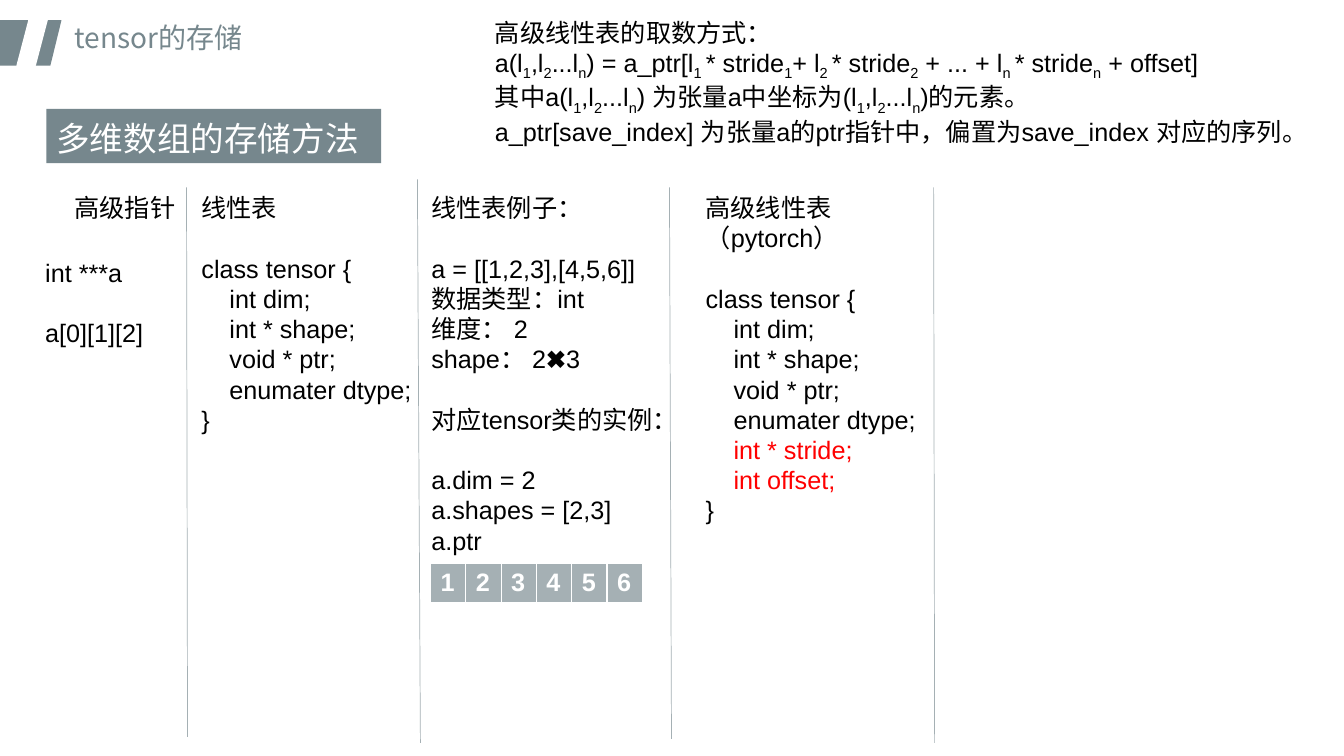
from dataclasses import dataclass

from lxml.etree import SubElement as Sub
from pptx import Presentation
from pptx.dml.color import RGBColor as RGB
from pptx.enum.shapes import MSO_CONNECTOR as Conn, MSO_SHAPE as Kind
from pptx.enum.text import MSO_ANCHOR as Anchor, MSO_AUTO_SIZE as Auto, PP_ALIGN as Align
from pptx.oxml.ns import qn
from pptx.util import Inches, Pt


@dataclass(frozen=True)
class Theme:
    slate: RGB = RGB(0x76, 0x87, 0x8D)
    pale: RGB = RGB(0xA5, 0xB0, 0xB4)
    white: RGB = RGB(255, 255, 255)
    black: RGB = RGB(0, 0, 0)
    red: RGB = RGB(255, 0, 0)
    latin: str = "Arial"
    hans: str = "Noto Sans CJK JP"
    title: float = 20
    banner: float = 24
    body: float = 18
    gap: float = 21.6


@dataclass(frozen=True)
class Label:
    left: float
    top: float
    width: float
    height: float
    text: str
    size: float
    color: RGB
    fill: RGB | None = None


@dataclass(frozen=True)
class Block:
    left: float
    top: float
    width: float
    height: float
    text: str
    red: tuple[str, ...] = ()


@dataclass(frozen=True)
class Rule:
    x1: float
    y1: float
    x2: float
    y2: float


THEME = Theme()

LABELS = [
    Label(0.64, 0.12, 2.11, 0.47, "tensor的存储", THEME.title, THEME.slate),
    Label(0.46, 1.08, 3.32, 0.54, "多维数组的存储方法", THEME.banner, THEME.white, THEME.slate),
]

FIELDS = """class tensor {
    int dim;
    int * shape;
    void * ptr;
    enumater dtype;"""

STRIDE = ("    int * stride;", "    int offset;")

SAMPLE = """线性表例子：

a = [[1,2,3],[4,5,6]]
数据类型：int
维度： 2
shape： 2✖️3

对应tensor类的实例：

a.dim = 2
a.shapes = [2,3]
a.ptr"""

ACCESS = """高级线性表的取数方式：
a(l~1~,l~2~...l~n~) = a_ptr[l~1 ~* stride~1~+ l~2 ~* stride~2~ + ... + l~n ~* stride~n~ + offset]
其中a(l~1~,l~2~...l~n~) 为张量a中坐标为(l~1~,l~2~...l~n~)的元素。
a_ptr[save_index] 为张量a的ptr指针中，偏置为save_index 对应的序列。"""

BLOCKS = [
    Block(0.64, 1.86, 5.1, 0.4, "高级指针"),
    Block(1.9, 1.86, 2.37, 2.52, f"线性表\n\n{FIELDS}\n}}"),
    Block(0.35, 2.5, 2.85, 1.01, "int ***a\n\na[0][1][2]"),
    Block(4.18, 1.86, 2.71, 4.04, SAMPLE),
    Block(6.9, 1.86, 2.37, 3.43,
          "\n".join(["高级线性表（pytorch）\n", FIELDS, *STRIDE, "}"]), STRIDE),
    Block(4.81, 0.12, 8.06, 1.31, ACCESS),
]

RULES = [
    Rule(4.14, 1.78, 4.17, 7.37),
    Rule(1.85, 1.86, 1.86, 7.31),
    Rule(6.64, 1.86, 6.66, 7.33),
    Rule(9.26, 1.86, 9.27, 7.37),
]

DIGITS = "123456"
EDGES = {"a:lnL": 1, "a:lnR": 1, "a:lnT": 1, "a:lnB": 3}


def style(run, face: str, size: float, color: RGB) -> None:
    run.font.size = Pt(size)
    run.font.color.rgb = color
    run.font.name = face
    Sub(run._r.get_or_add_rPr(), qn("a:ea"), typeface=face)


def draw_mark(slide) -> None:
    group = slide.shapes.add_group_shape()
    points = [(Inches(x), Inches(y)) for x, y in [(0, 0.2), (0.61, 0.2), (0.5, 0.65), (0, 0.65)]]
    pen = group.shapes.build_freeform(*points[0])
    pen.add_line_segments(points[1:], close=True)
    flag = pen.convert_to_shape()
    flag.shadow.inherit = False
    flag.fill.solid()
    flag.fill.fore_color.rgb = THEME.slate
    flag.line.fill.background()
    slash = group.shapes.add_shape(
        Kind.PARALLELOGRAM, Inches(0.17), Inches(0.19), Inches(0.3), Inches(0.46))
    slash.adjustments[0] = 0.402
    slash.shadow.inherit = False
    slash.fill.solid()
    slash.fill.fore_color.rgb = THEME.white
    slash.line.color.rgb = THEME.white
    slash.line.width = Pt(1)


def add_box(slide, item: Label | Block):
    box = slide.shapes.add_textbox(
        Inches(item.left), Inches(item.top), Inches(item.width), Inches(item.height))
    box.text_frame.word_wrap = True
    box.text_frame.auto_size = Auto.SHAPE_TO_FIT_TEXT
    return box


def draw_label(slide, label: Label) -> None:
    box = add_box(slide, label)
    if label.fill is not None:
        box.fill.solid()
        box.fill.fore_color.rgb = label.fill
    box.text_frame.text = label.text
    para = box.text_frame.paragraphs[0]
    para.alignment = Align.JUSTIFY
    para.line_spacing = 1.1
    style(para.runs[0], THEME.hans, label.size, label.color)


def draw_block(slide, block: Block) -> None:
    frame = add_box(slide, block).text_frame
    para, spaced = frame.paragraphs[0], False
    for row, line in enumerate(block.text.split("\n")):
        if not line:
            spaced = True
            continue
        if row:
            para = frame.add_paragraph()
        if spaced:
            para.space_before = Pt(THEME.gap)
        spaced = False
        color = THEME.red if line in block.red else THEME.black
        for part, text in enumerate(line.split("~")):
            run = para.add_run()
            run.text = text
            style(run, THEME.latin, THEME.body, color)
            if part % 2:
                run._r.get_or_add_rPr().set("baseline", "-25000")


def draw_table(slide) -> None:
    side = 0.35
    table = slide.shapes.add_table(
        1, len(DIGITS), Inches(4.27), Inches(5.59),
        Inches(side * len(DIGITS)), Inches(0.4)).table
    table.first_row = table.horz_banding = False
    for col, digit in enumerate(DIGITS):
        table.columns[col].width = Inches(side)
        cell = table.cell(0, col)
        cell.text = digit
        cell.vertical_anchor = Anchor.TOP
        run = cell.text_frame.paragraphs[0].runs[0]
        style(run, THEME.latin, THEME.body, THEME.white)
        run.font.bold = True
        props = cell._tc.get_or_add_tcPr()
        for tag, width in EDGES.items():
            edge = Sub(props, qn(tag), w=str(Pt(width)))
            Sub(Sub(edge, qn("a:solidFill")), qn("a:srgbClr"), val=str(THEME.white))
        cell.fill.solid()
        cell.fill.fore_color.rgb = THEME.pale


def draw_rule(slide, rule: Rule) -> None:
    line = slide.shapes.add_connector(
        Conn.STRAIGHT, Inches(rule.x1), Inches(rule.y1), Inches(rule.x2), Inches(rule.y2))
    line.line.color.rgb = THEME.pale
    line.line.width = Pt(0.5)
    Sub(line._element.spPr, qn("a:effectLst"))


def main() -> None:
    deck = Presentation()
    deck.slide_width, deck.slide_height = Inches(13.33), Inches(7.5)
    slide = deck.slides.add_slide(deck.slide_layouts[6])
    draw_mark(slide)
    for label in LABELS:
        draw_label(slide, label)
    for block in BLOCKS:
        draw_block(slide, block)
    draw_table(slide)
    for rule in RULES:
        draw_rule(slide, rule)
    deck.save("out.pptx")


if __name__ == "__main__":
    main()
